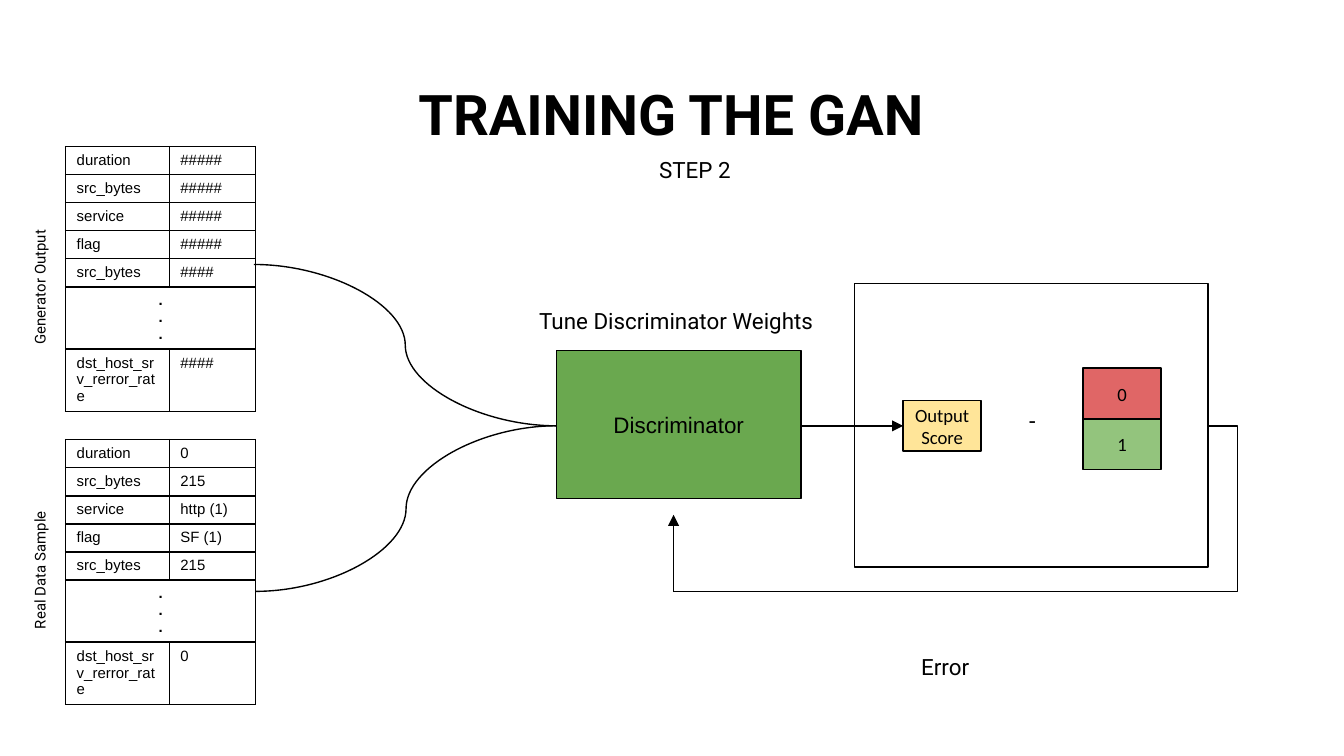
from lxml import etree
from pptx import Presentation
from pptx.dml.color import RGBColor
from pptx.enum import shapes, text
from pptx.oxml.ns import qn
from pptx.util import Cm, Pt

BLACK = "000000"
LINE_WIDTH = 0.75
INSET_X, INSET_Y = 0.21, 0.1
MIDDLE_Y, RETURN_Y, RETURN_X = 8.05, 11.18, 12.73

# Content: positions and sizes in cm
TITLE = "TRAINING THE GAN"
FEATURES = ["duration", "src_bytes", "service", "flag", "src_bytes", None,
            "dst_host_srv_rerror_rate"]
TABLE_LEFT = 1.24
COLUMN_WIDTHS = [1.96, 1.63]
ROW_HEIGHT, TALL_ROW_HEIGHT = 0.53, 1.18
SAMPLES = [  # top, values; None marks the row of dots
    (2.77, ["#####", "#####", "#####", "#####", "####", None, "####"]),
    (8.31, ["0", "215", "http (1)", "SF (1)", "215", None, "0"]),
]
BLOCKS = [  # lines, place, fill, font, size
    (["Discriminator"], (10.52, 6.63, 4.62, 2.79), "6AA84F", "Arial", 12),
    (["Output", "Score"], (17.07, 7.57, 1.47, 0.96), "FFE599", "Calibri", 10),
    (["0"], (20.47, 6.96, 1.47, 0.96), "E06666", "Calibri", 10),
    (["1"], (20.47, 7.92, 1.47, 0.96), "93C47D", "Calibri", 10),
    ([], (16.15, 5.36, 6.68, 5.36), None, "Arial", 12),
]
LABELS = [  # words, place, font, size, alignment, anchor, rotation
    ("Generator Output", (-0.76, 5.03, 2.82, 0.56), "Roboto", 8, "LEFT", "TOP", 270),
    ("Real Data Sample", (-0.76, 10.41, 2.82, 0.56), "Roboto", 8, "LEFT", "TOP", 270),
    ("-", (19.23, 7.75, 0.81, 0.36), "Arial", 12, "LEFT", "MIDDLE", 0),
    ("Error", (17.2, 12.14, 5.69, 0.66), "Roboto", 12, "LEFT", "TOP", 0),
    ("STEP 2", (10.29, 2.74, 5.69, 0.66), "Roboto", 12, "CENTER", "TOP", 0),
    ("Tune Discriminator Weights", (9.98, 5.59, 5.69, 0.66), "Roboto", 12,
     "LEFT", "TOP", 0),
]
LINKS = [  # type, start, end, arrowhead, bend
    ("CURVE", (4.8, 5), (10.52, MIDDLE_Y), False, None),
    ("CURVE", (4.83, RETURN_Y), (10.52, MIDDLE_Y), False, None),
    ("STRAIGHT", (15.14, MIDDLE_Y), (17.07, MIDDLE_Y), True, None),
    ("ELBOW", (22.86, MIDDLE_Y), (RETURN_X, RETURN_Y), False, -5200),
    ("STRAIGHT", (RETURN_X, RETURN_Y), (RETURN_X, 9.73), True, None),
]


def color(value):
    return RGBColor.from_string(value)


def cms(values):
    return [Cm(value) for value in values]


def write(frame, lines, font, size, align="LEFT", bold=False):
    for index, words in enumerate(lines):
        para = frame.add_paragraph() if index else frame.paragraphs[0]
        para.alignment = text.PP_ALIGN[align]
        span = para.add_run()
        span.text = words
        span.font.name, span.font.size, span.font.bold = font, Pt(size), bold
        span.font.color.rgb = color(BLACK)


def set_frame(frame, anchor, inset_y):
    frame.word_wrap = True
    frame.auto_size = text.MSO_AUTO_SIZE.NONE
    frame.vertical_anchor = text.MSO_ANCHOR[anchor]
    frame.margin_left = frame.margin_right = Cm(INSET_X)
    frame.margin_top = frame.margin_bottom = Cm(inset_y)


def set_line(line):
    line.color.rgb = color(BLACK)
    line.width = Pt(LINE_WIDTH)


def format_cell(cell):
    cell.margin_left = cell.margin_right = Cm(INSET_X)
    cell.margin_top = cell.margin_bottom = Cm(INSET_Y)
    properties = cell._tc.get_or_add_tcPr()
    for side in ("lnL", "lnR", "lnT", "lnB"):
        border = etree.SubElement(properties, qn("a:" + side), w=str(Pt(1)))
        fill = etree.SubElement(border, qn("a:solidFill"))
        etree.SubElement(fill, qn("a:srgbClr"), val=BLACK)
    cell.fill.background()


def add_sample(page, top, values):
    heights = [ROW_HEIGHT] * 5 + [TALL_ROW_HEIGHT] * 2
    table = page.shapes.add_table(
        len(values), 2, *cms((TABLE_LEFT, top, sum(COLUMN_WIDTHS), sum(heights)))).table
    table.first_row = table.horz_banding = False
    for column, width in zip(table.columns, COLUMN_WIDTHS):
        column.width = Cm(width)
    for index, pair in enumerate(zip(FEATURES, values)):
        table.rows[index].height = Cm(heights[index])
        cells = [table.cell(index, column) for column in range(2)]
        for cell, words in zip(cells, pair):
            format_cell(cell)
            if words is not None:
                write(cell.text_frame, [words], "Arial", 8)
        if pair[0] is None:
            cells[0].merge(cells[1])
            write(cells[0].text_frame, ["."] * 3, "Arial", 8, "CENTER", True)


def add_block(page, lines, place, fill, font, size):
    box = page.shapes.add_shape(shapes.MSO_SHAPE.RECTANGLE, *cms(place))
    box.shadow.inherit = False
    set_line(box.line)
    if fill:
        box.fill.solid()
        box.fill.fore_color.rgb = color(fill)
    else:
        box.fill.background()
    set_frame(box.text_frame, "MIDDLE", INSET_Y)
    write(box.text_frame, lines, font, size, "CENTER")


def add_label(page, words, place, font, size, align, anchor, rotation):
    box = page.shapes.add_textbox(*cms(place))
    box.rotation = rotation
    set_frame(box.text_frame, anchor, INSET_X)
    write(box.text_frame, [words], font, size, align)


def add_link(page, kind, start, end, arrow, bend):
    link = page.shapes.add_connector(
        shapes.MSO_CONNECTOR[kind], *cms(start + end))
    set_line(link.line)
    properties = link._element.spPr
    etree.SubElement(properties, qn("a:effectLst"))
    if arrow:
        etree.SubElement(properties.find(qn("a:ln")), qn("a:tailEnd"), type="triangle")
    if bend is not None:
        guides = properties.find(qn("a:prstGeom")).find(qn("a:avLst"))
        etree.SubElement(guides, qn("a:gd"), name="adj1", fmla=f"val {bend}")


def main():
    deck = Presentation()
    deck.slide_width, deck.slide_height = cms((25.4, 14.29))
    page = deck.slides.add_slide(deck.slide_layouts[5])

    # Title
    title = page.shapes.title
    title.left, title.top, title.width, title.height = cms((1.14, 1.52, 23.09, 1.37))
    set_frame(title.text_frame, "BOTTOM", INSET_Y)
    write(title.text_frame, [TITLE], "Roboto", 30, "CENTER", True)
    title.text_frame.paragraphs[0].line_spacing = 0.9

    # Diagram
    for sample in SAMPLES:
        add_sample(page, *sample)
    for block in BLOCKS:
        add_block(page, *block)
    for label in LABELS:
        add_label(page, *label)
    for link in LINKS:
        add_link(page, *link)

    deck.save("out.pptx")


if __name__ == "__main__":
    main()
